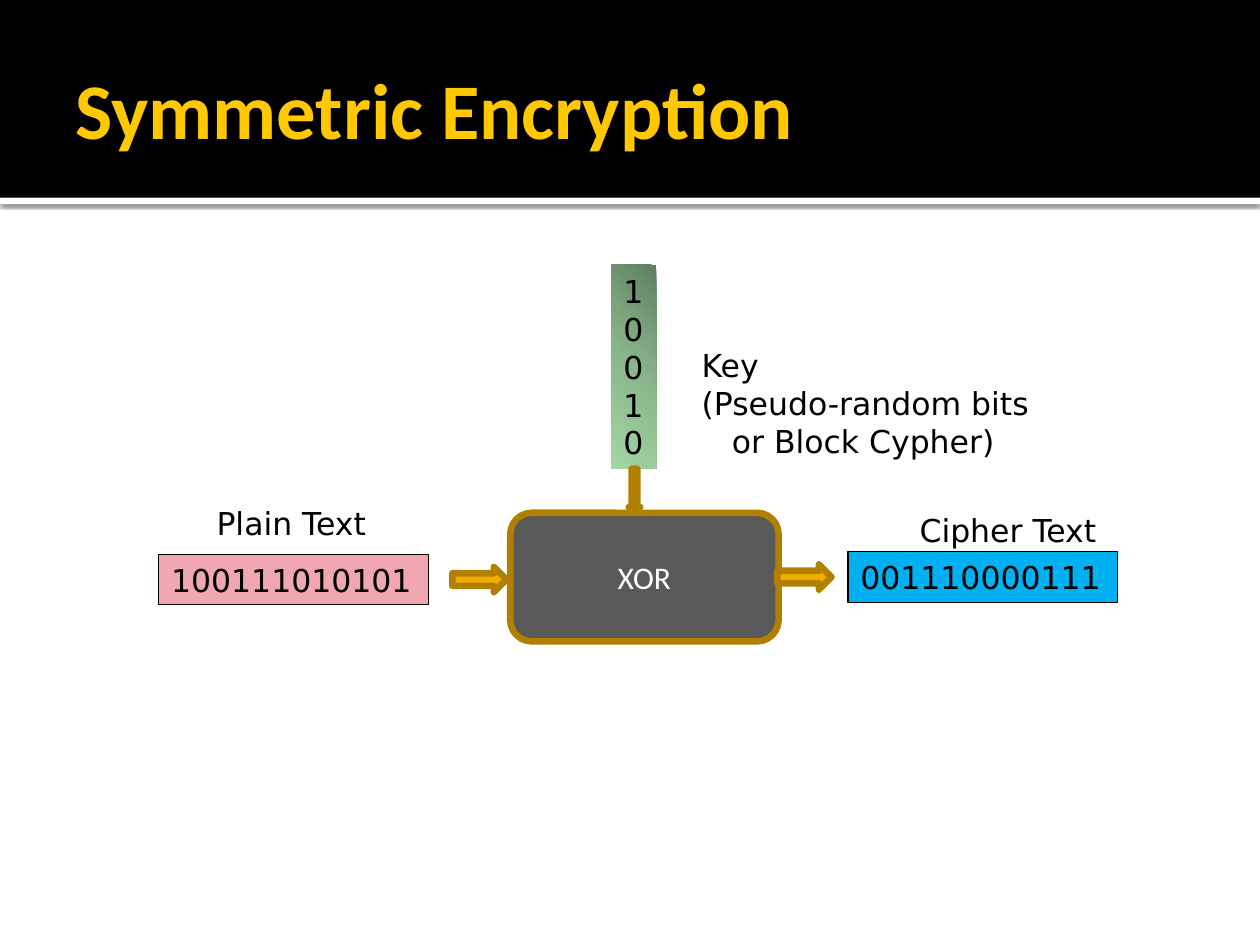
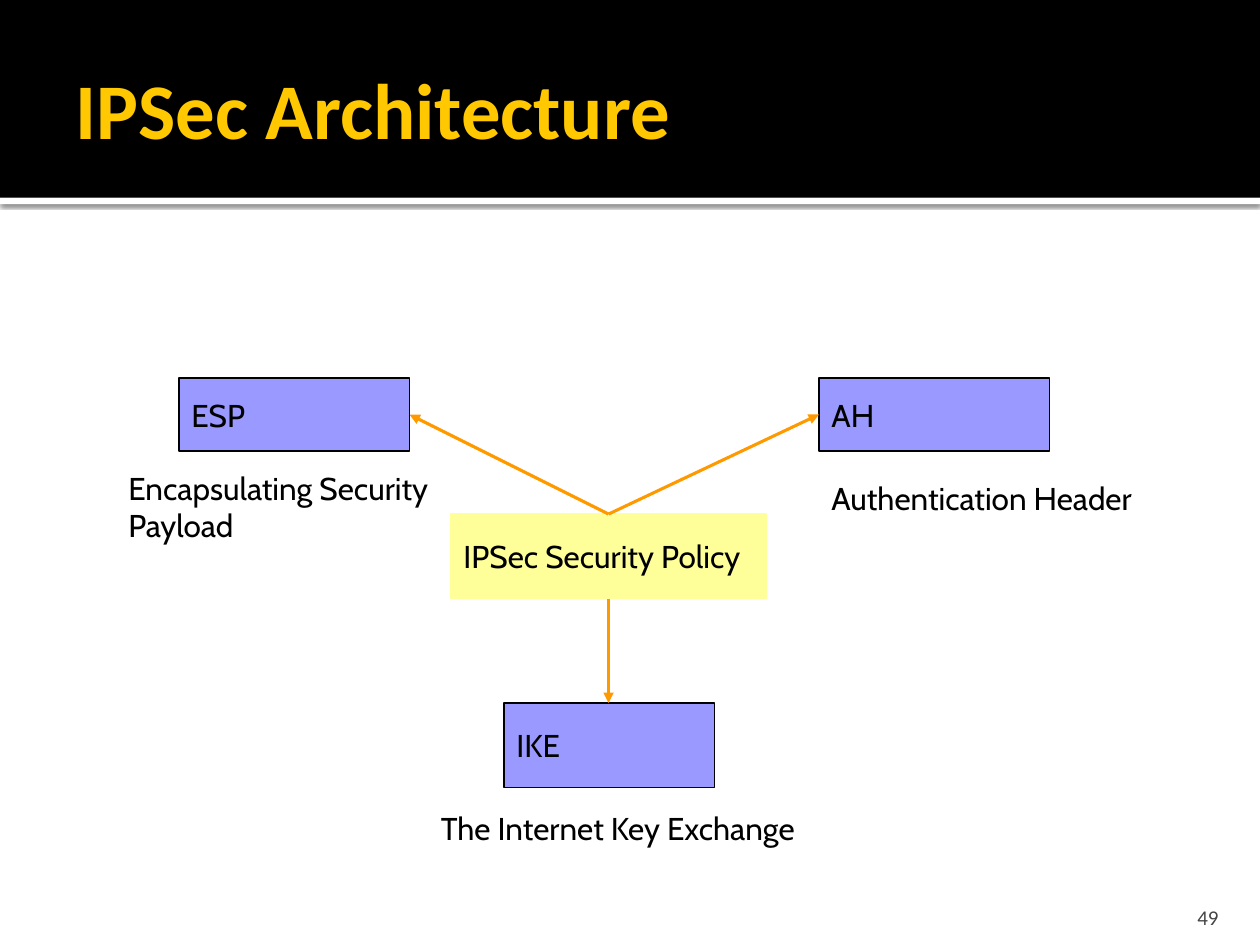
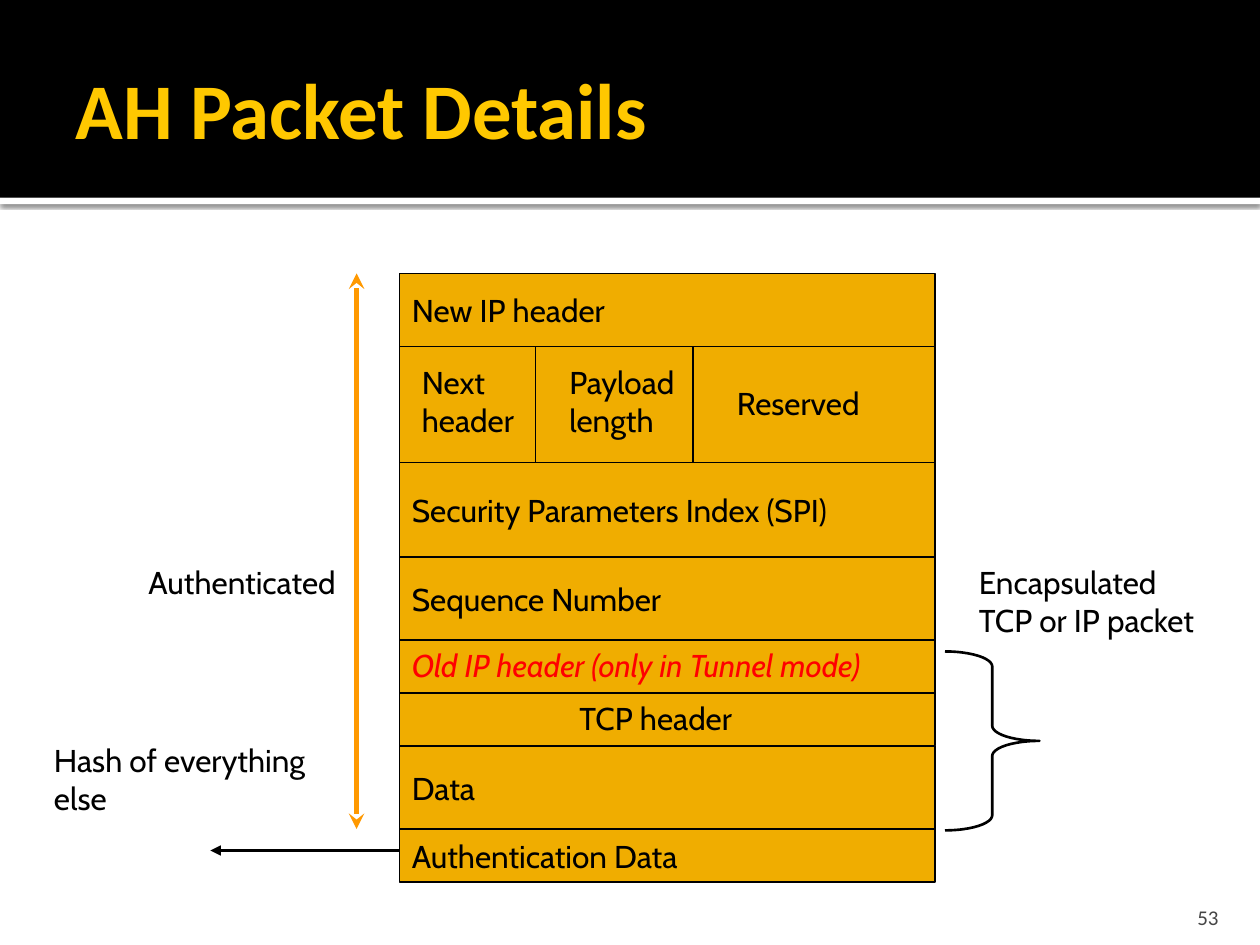
from copy import deepcopy
from itertools import pairwise

from lxml import etree
from pptx import Presentation
from pptx.dml.color import RGBColor
from pptx.enum import shapes, text
from pptx.oxml import ns
from pptx.util import Inches, Pt

COLORS = {
    "white": "FFFFFF", "black": "000000", "title": "FFC800", "number": "454545",
    "gold": "F0AD00", "gold_edge": "B28000", "gray": "595959", "pink": "F0A7B1",
    "blue": "00B0F0", "violet": "9999FF", "yellow": "FFFF99", "orange": "FF9900",
    "red": "FF0000", "key_dark": "608061", "key_mid": "89B58A", "key_light": "A3D7A4",
}
KIND = shapes.MSO_SHAPE
ALIGN = text.PP_ALIGN
ANCHOR = text.MSO_ANCHOR


def color(name):
    return RGBColor.from_string(COLORS[name])


def add_xml(parent, tag, **attrs):
    return etree.SubElement(parent, ns.qn(tag), attrs)


class Deck:
    def __init__(self):
        self.prs = Presentation()
        self.prs.slide_width, self.prs.slide_height = Inches(10), Inches(7.5)
        self.font = "Cabin"
        self.s = None

    def slide(self, title, font, number=None):
        self.font = font
        self.s = self.prs.slides.add_slide(self.prs.slide_layouts[6])
        strip = self.shape(0, 1.57, 10, 0.05, "white")
        self.drop_shadow(strip)
        self.shape(0, 0, 10, 1.57, "black")
        self.label(0.5, 0.17, title, 9, 1.37, anchor=ANCHOR.MIDDLE,
                   size=45, font="Calibri", ink="title", bold=True)
        if number:
            sp = self.label(8.97, 7.08, number, 0.8, 0.3, anchor=ANCHOR.BOTTOM,
                            align=ALIGN.RIGHT, size=12, font="Calibri", ink="number")
            sp.text_frame.margin_bottom = 0

    def drop_shadow(self, sp):
        effects = sp._element.spPr.find(ns.qn("a:effectLst"))
        shadow = add_xml(effects, "a:outerShdw", blurRad=str(Pt(2.5)), dist=str(Pt(0.8)),
                         dir="5400000", algn="tl", rotWithShape="0")
        black = add_xml(shadow, "a:srgbClr", val=COLORS["black"])
        add_xml(black, "a:alpha", val="60000")

    def add_text(self, sp, words, anchor=ANCHOR.TOP, align=ALIGN.LEFT, size=18,
                 font=None, ink="black", bold=False, italic=False):
        tf = sp.text_frame
        tf.word_wrap = False
        tf.vertical_anchor = anchor
        for i, line in enumerate(words.split("\n")):
            p = tf.add_paragraph() if i else tf.paragraphs[0]
            p.alignment = align
            r = p.add_run()
            r.text = line
            r.font.name = font or self.font
            r.font.size = Pt(size)
            r.font.bold, r.font.italic = bold, italic
            r.font.color.rgb = color(ink)

    def label(self, x, y, words, w=2, h=0.4, **style):
        sp = self.s.shapes.add_textbox(*map(Inches, (x, y, w, h)))
        self.add_text(sp, words, **style)
        return sp

    def shape(self, x, y, w, h, fill=None, edge=None, width=0.75,
              kind=KIND.RECTANGLE, words=None, **style):
        sp = self.s.shapes.add_shape(kind, *map(Inches, (x, y, w, h)))
        sp.shadow.inherit = False
        if fill:
            sp.fill.solid()
            sp.fill.fore_color.rgb = color(fill)
        else:
            sp.fill.background()
        if edge:
            sp.line.color.rgb = color(edge)
            sp.line.width = Pt(width)
        else:
            sp.line.fill.background()
        if words:
            self.add_text(sp, words, **{"anchor": ANCHOR.MIDDLE, **style})
        return sp

    def gradient(self, sp, names, angle):
        sp.fill.gradient()
        sp.fill.gradient_angle = angle
        stops = sp._element.spPr.find(ns.qn("a:gradFill")).find(ns.qn("a:gsLst"))
        while len(stops) < len(names):
            stops.append(deepcopy(stops[0]))
        for i, (stop, name) in enumerate(zip(sp.fill.gradient_stops, names)):
            stop.position = i / (len(names) - 1)
            stop.color.rgb = color(name)

    def line(self, start, end, ink="black", width=0.75, head=None, tail=None):
        c = self.s.shapes.add_connector(shapes.MSO_CONNECTOR.STRAIGHT,
                                        *map(Inches, start + end))
        c.line.color.rgb = color(ink)
        c.line.width = Pt(width)
        ln = c.line._get_or_add_ln()
        for tag, arrow in (("a:headEnd", head), ("a:tailEnd", tail)):
            if arrow:
                add_xml(ln, tag, type=arrow)
        add_xml(c._element.spPr, "a:effectLst")


def symmetric_encryption(deck):
    deck.slide("Symmetric Encryption", "DejaVu Sans")
    deck.shape(4.05, 4.07, 2.13, 1.02, "gray", "gold_edge", 3.78, KIND.ROUNDED_RECTANGLE,
               "XOR", align=ALIGN.CENTER, font="Calibri", ink="white")
    for x, y, fill, bits in ((1.26, 4.4, "pink", "100111010101"),
                             (6.73, 4.38, "blue", "001110000111")):
        deck.shape(x, y, 2.14, 0.4, fill, "black", words=bits)
    key = deck.shape(4.85, 2.1, 0.36, 1.62, words="\n".join("10010"))
    deck.gradient(key, ("key_dark", "key_mid", "key_light"), 225)
    for x, y, w, h, kind in ((3.59, 4.5, 0.43, 0.2, KIND.RIGHT_ARROW),
                             (6.17, 4.48, 0.43, 0.2, KIND.RIGHT_ARROW),
                             (4.99, 3.72, 0.09, 0.35, KIND.DOWN_ARROW)):
        deck.shape(x, y, w, h, "gold", "gold_edge", 3.78, kind)
    deck.label(1.62, 3.95, "Plain Text", 1.42)
    deck.label(7.2, 4.01, "Cipher Text", 1.64)
    note = deck.label(5.47, 2.7, "Key\n(Pseudo-random bits\nor Block Cypher)", 2.85, 1.01)
    last = note.text_frame.paragraphs[-1]
    last._p.get_or_add_pPr().set("marL", str(Inches(0.24)))


def ipsec_architecture(deck):
    deck.slide("IPSec Architecture", "Cabin", "49")
    for x, y, w, h, name in ((1.42, 3, 1.83, 0.58, "ESP"), (6.5, 3, 1.83, 0.58, "AH"),
                             (4, 5.58, 1.67, 0.67, "IKE")):
        deck.shape(x, y, w, h, "violet", "black", words=name)
    deck.shape(3.58, 4.08, 2.5, 0.67, "yellow", "yellow", words="IPSec Security Policy")
    for start, end in (((4.83, 4.08), (3.25, 3.29)), ((4.83, 4.08), (6.5, 3.29)),
                       ((4.83, 4.75), (4.83, 5.58))):
        deck.line(start, end, "orange", 1.75, tail="triangle")
    deck.label(0.92, 3.67, "Encapsulating Security\nPayload", 2.68, 0.7)
    deck.label(6.5, 3.75, "Authentication Header", 2.66)
    deck.label(3.4, 6.37, "The Internet Key Exchange", 3.21)


def ah_packet_details(deck):
    deck.slide("AH Packet Details", "Cabin", "53")
    left, width = 3.17, 4.25
    edges = (2.17, 2.75, 3.67, 4.42, 5.08, 5.92, 6.58, 7)
    fields = ("New IP header", None, "Security Parameters Index (SPI)",
              "Sequence Number", None, "Data", "Authentication Data")
    for (top, bottom), field in zip(pairwise(edges), fields):
        deck.shape(left, top, width, bottom - top, "gold", "black", words=field)
    for x in (4.25, 5.5):
        deck.line((x, 2.75), (x, 3.67))
    deck.line((left, 5.5), (left + width, 5.5))
    deck.label(3.25, 2.83, "Next\nheader", 0.97, 0.7)
    deck.label(4.42, 2.83, "Payload\nlength", 1.06, 0.7)
    deck.label(5.75, 3, "Reserved", 1.22)
    deck.label(left, 5.08, "Old IP header (only in Tunnel mode)", width,
               ink="red", italic=True)
    deck.label(4.5, 5.5, "TCP header", 1.48)
    deck.line((2.83, 2.17), (2.83, 6.58), "orange", 3, "stealth", "stealth")
    deck.label(1.08, 4.42, "Authenticated", 1.72)
    brace = deck.shape(7.5, 5.17, 0.75, 1.42, edge="black", width=1.5,
                       kind=KIND.RIGHT_BRACE)
    brace.adjustments[0] = 0.16
    deck.label(7.67, 4.42, "Encapsulated\nTCP or IP packet", 2.05, 0.7)
    deck.line((left, 6.75), (1.67, 6.75), width=1.5, tail="triangle")
    deck.label(0.33, 5.83, "Hash of everything\nelse", 2.28, 0.7)


def main():
    deck = Deck()
    symmetric_encryption(deck)
    ipsec_architecture(deck)
    ah_packet_details(deck)
    deck.prs.save("out.pptx")


if __name__ == "__main__":
    main()
